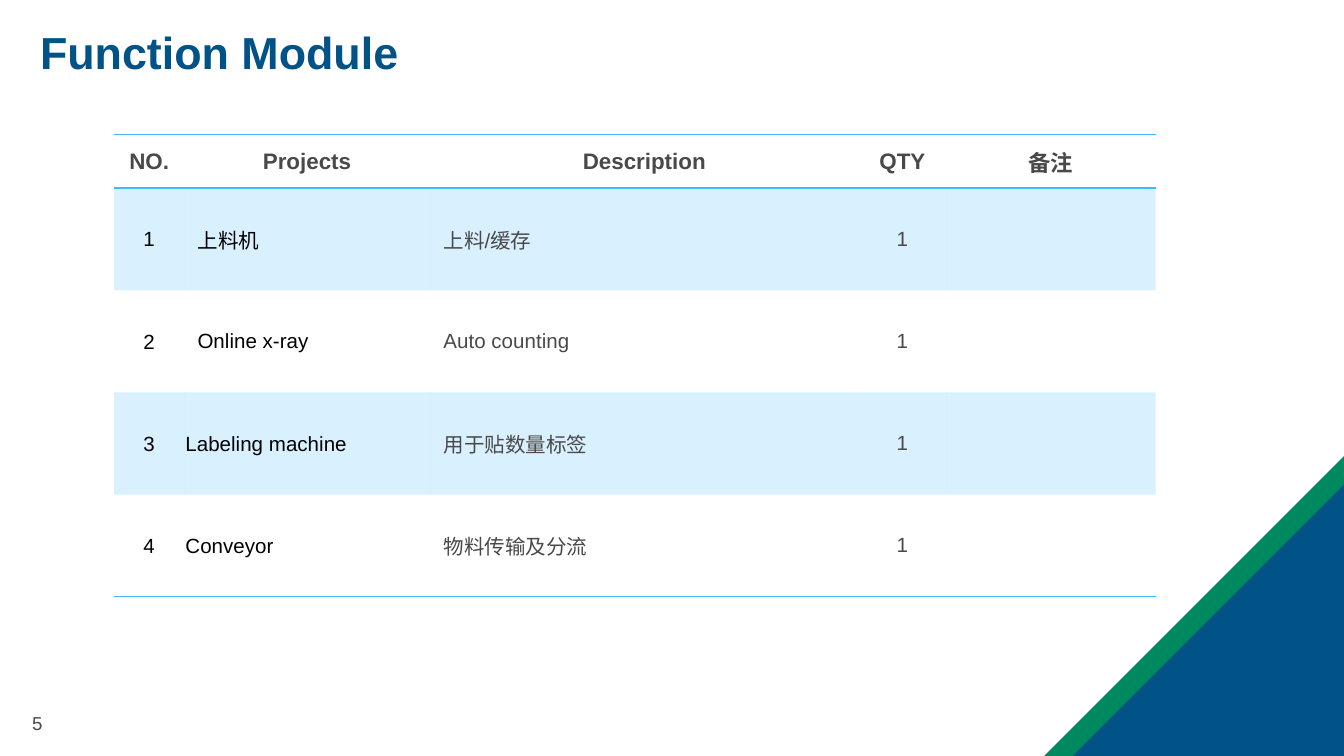
from dataclasses import dataclass

from lxml import etree
from pptx import Presentation
from pptx.dml.color import RGBColor
from pptx.enum.shapes import MSO_SHAPE
from pptx.enum.text import MSO_ANCHOR, PP_ALIGN
from pptx.oxml.ns import qn
from pptx.util import Inches, Pt

TRIANGLE = MSO_SHAPE.ISOSCELES_TRIANGLE
MIDDLE, BOTTOM, TOP = MSO_ANCHOR.MIDDLE, MSO_ANCHOR.BOTTOM, MSO_ANCHOR.TOP
LEFT, CENTER = PP_ALIGN.LEFT, PP_ALIGN.CENTER
WIDTH = 10
HEIGHT = WIDTH * 9 / 16
FONT = "Arial"
NO_STYLE = "{2D5ABB26-0587-4C30-8999-92F81FD0307C}"
COLORS = {
    "navy": "005287",
    "green": "00895F",
    "sky": "43B7FF",
    "gray": "494949",
    "black": "000000",
}
COLUMN_WIDTHS = (0.52, 1.83, 3.19, 0.65, 1.56)
ROW_HEIGHTS = (0.4,) + (0.76,) * 4
HEADERS = ("NO.", "Projects", "Description", "QTY", "备注")
COLUMN_ALIGNMENTS = (CENTER, LEFT, LEFT, CENTER, LEFT)
COLUMN_COLORS = ("black", "black", "gray", "gray", "gray")


@dataclass(frozen=True)
class Module:
    project: str
    description: str
    tight_columns: tuple = ()
    quantity: str = "1"


@dataclass(frozen=True)
class Label:
    text: str
    left: float
    top: float
    width: float
    height: float
    size: float
    color: str
    bold: bool = False
    anchor: MSO_ANCHOR = TOP
    wrap: bool = True
    line_spacing: float = 1.0


@dataclass(frozen=True)
class Corner:
    side: float
    color: str


MODULES = (
    Module("上料机", "上料/缓存"),
    Module("Online x-ray", "Auto counting", (0,)),
    Module("Labeling machine", "用于贴数量标签", (0, 1)),
    Module("Conveyor", "物料传输及分流", (0, 1)),
)
CORNERS = (Corner(2.23, "green"), Corner(2.02, "navy"))
LABELS = (
    Label("5", 0.14, 5.25, 0.88, 0.25, 10, "gray", wrap=False),
    Label("Function Module", 0.2, 0.12, 8.7, 0.52, 24, "navy", True, BOTTOM, line_spacing=0.9),
)


def rgb(name: str) -> RGBColor:
    return RGBColor.from_string(COLORS[name])


def style_font(paragraph, size: float, color: str, bold: bool) -> None:
    for run in paragraph.runs:
        run.font.name = FONT
        run.font.size = Pt(size)
        run.font.bold = bold
        run.font.color.rgb = rgb(color)


def add_corner(slide, corner: Corner) -> None:
    side = Inches(corner.side)
    shape = slide.shapes.add_shape(
        TRIANGLE, Inches(WIDTH) - side, Inches(HEIGHT) - side, side, side
    )
    shape.adjustments[0] = 1
    shape.shadow.inherit = False
    shape.fill.solid()
    shape.fill.fore_color.rgb = rgb(corner.color)
    shape.line.fill.background()


def add_label(slide, label: Label) -> None:
    box = slide.shapes.add_textbox(
        *(Inches(value) for value in (label.left, label.top, label.width, label.height))
    )
    frame = box.text_frame
    frame.word_wrap = label.wrap
    frame.vertical_anchor = label.anchor
    frame.text = label.text
    paragraph = frame.paragraphs[0]
    paragraph.line_spacing = label.line_spacing
    style_font(paragraph, label.size, label.color, label.bold)


def add_border(cell, tag: str) -> None:
    properties = cell._tc.get_or_add_tcPr()
    line = etree.SubElement(properties, qn(tag), w=str(Pt(1)))
    fill = etree.SubElement(line, qn("a:solidFill"))
    etree.SubElement(fill, qn("a:srgbClr"), val=COLORS["sky"])


def tint(cell) -> None:
    cell.fill.solid()
    cell.fill.fore_color.rgb = rgb("sky")
    color = cell._tc.tcPr.find(qn("a:solidFill") + "/" + qn("a:srgbClr"))
    etree.SubElement(color, qn("a:alpha"), val="20000")


def write_cell(cell, text: str, alignment: PP_ALIGN, size: float, color: str, bold: bool) -> None:
    cell.vertical_anchor = MIDDLE
    cell.text = text
    paragraph = cell.text_frame.paragraphs[0]
    paragraph.alignment = alignment
    style_font(paragraph, size, color, bold)


def tighten(cell) -> None:
    cell.margin_left = cell.margin_right = cell.margin_top = Inches(0.01)
    cell.margin_bottom = 0


def add_module_table(slide) -> None:
    frame = slide.shapes.add_table(
        len(ROW_HEIGHTS), len(COLUMN_WIDTHS), Inches(0.85), Inches(1),
        Inches(sum(COLUMN_WIDTHS)), Inches(sum(ROW_HEIGHTS)),
    )
    table = frame.table
    table.horz_banding = False
    table._tbl.tblPr.find(qn("a:tableStyleId")).text = NO_STYLE
    for column, width in zip(table.columns, COLUMN_WIDTHS):
        column.width = Inches(width)
    for row, height in zip(table.rows, ROW_HEIGHTS):
        row.height = Inches(height)

    for column, header in enumerate(HEADERS):
        cell = table.cell(0, column)
        write_cell(cell, header, CENTER, 12, "gray", True)
        add_border(cell, "a:lnT")
        add_border(cell, "a:lnB")
        cell.fill.background()

    for number, module in enumerate(MODULES, start=1):
        texts = (str(number), module.project, module.description, module.quantity, "")
        for column, text in enumerate(texts):
            cell = table.cell(number, column)
            write_cell(cell, text, COLUMN_ALIGNMENTS[column], 11, COLUMN_COLORS[column], False)
            if column in module.tight_columns:
                tighten(cell)
            if number == len(MODULES):
                add_border(cell, "a:lnB")
            if number % 2:
                tint(cell)
            else:
                cell.fill.background()


def main() -> None:
    presentation = Presentation()
    presentation.slide_width = Inches(WIDTH)
    presentation.slide_height = Inches(HEIGHT)
    slide = presentation.slides.add_slide(presentation.slide_layouts[6])
    for corner in CORNERS:
        add_corner(slide, corner)
    for label in LABELS:
        add_label(slide, label)
    add_module_table(slide)
    presentation.save("out.pptx")


if __name__ == "__main__":
    main()
